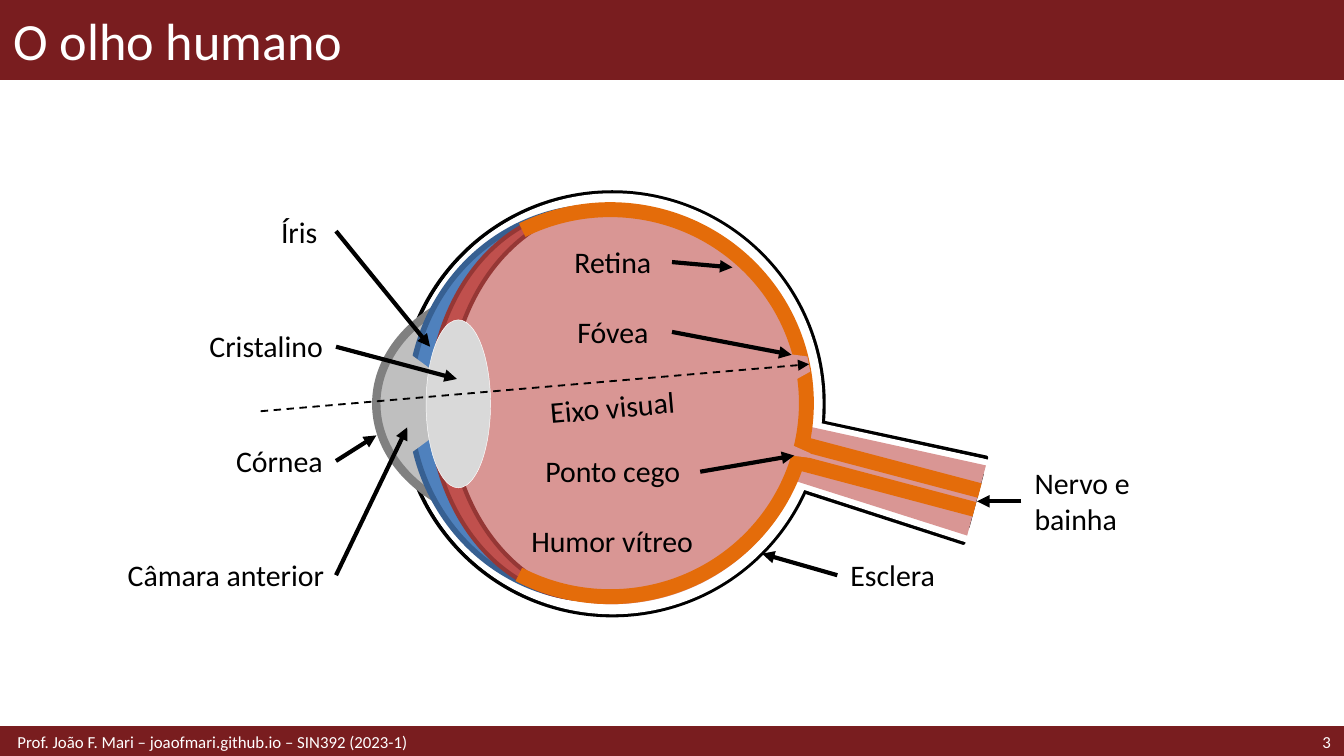
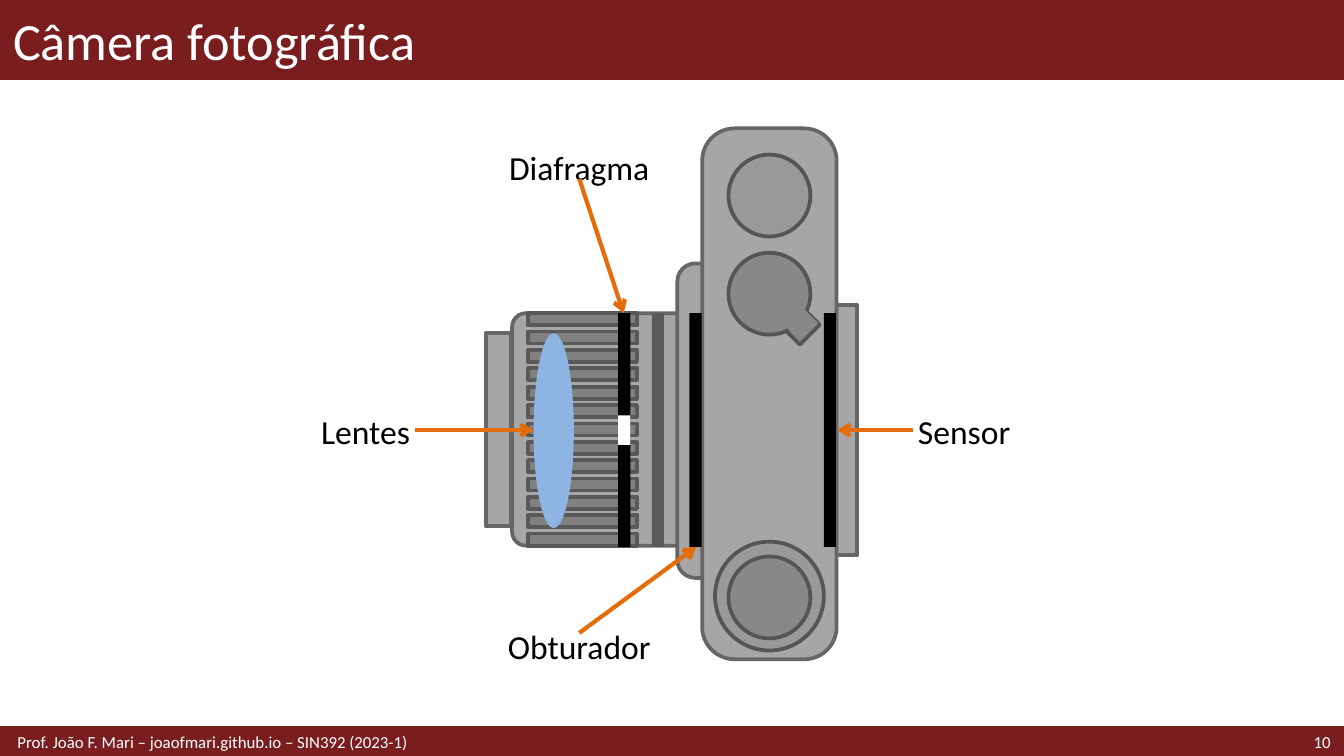
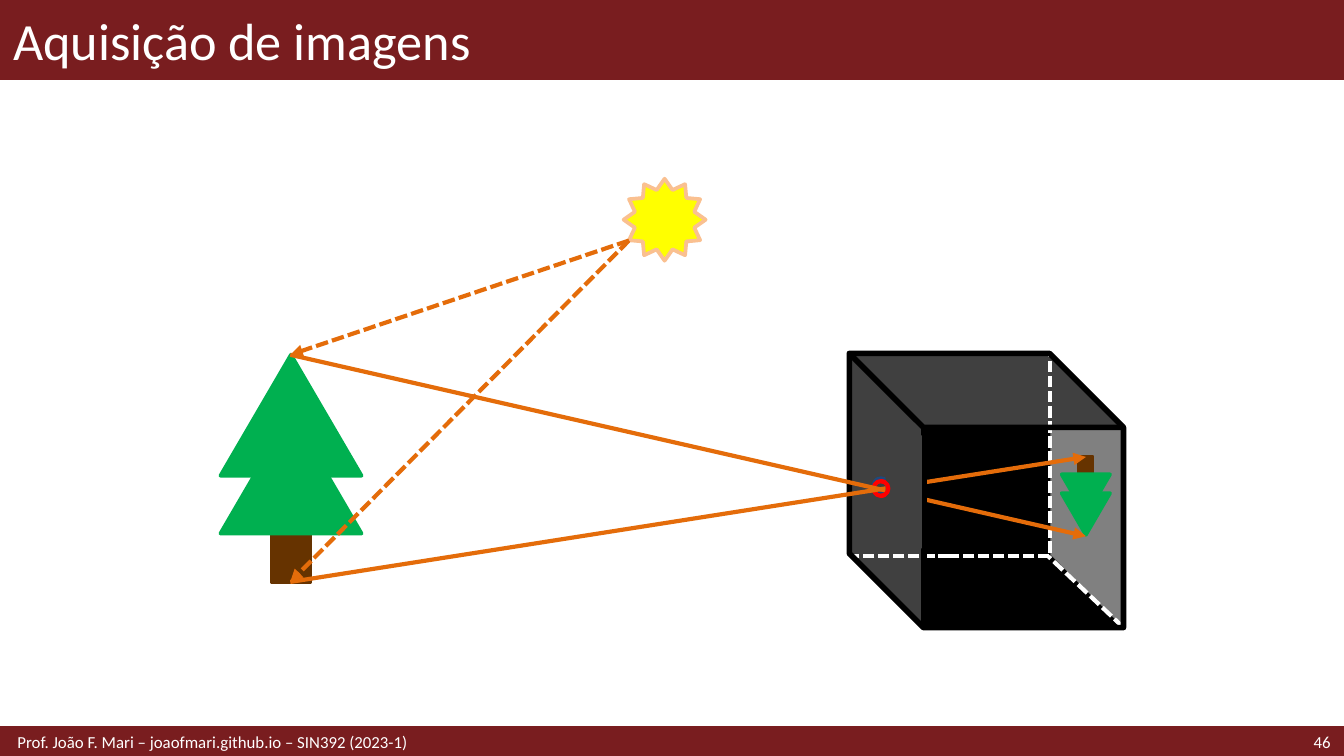
from lxml import etree
from pptx import Presentation
from pptx.dml.color import RGBColor
from pptx.enum import dml, shapes, text
from pptx.oxml import ns
from pptx.util import Pt

WHITE = RGBColor(0xFF, 0xFF, 0xFF)
BLACK = RGBColor(0x00, 0x00, 0x00)
WINE = RGBColor(0x79, 0x1D, 0x1F)
ORANGE = RGBColor(0xE4, 0x6C, 0x0A)
FLESH = RGBColor(0xD9, 0x96, 0x94)
CHAMBER = RGBColor(0xBF, 0xBF, 0xBF)
LENS_GRAY = RGBColor(0xD9, 0xD9, 0xD9)
MID_GRAY = RGBColor(0x80, 0x80, 0x80)
IRIS_BLUE = RGBColor(0x4F, 0x81, 0xBD)
IRIS_EDGE = RGBColor(0x37, 0x60, 0x92)
CILIARY_RED = RGBColor(0xC0, 0x50, 0x4D)
CILIARY_EDGE = RGBColor(0x95, 0x37, 0x35)
BODY = RGBColor(0xA6, 0xA6, 0xA6)
BODY_EDGE = RGBColor(0x66, 0x66, 0x66)
DIAL = RGBColor(0x99, 0x99, 0x99)
KNOB = RGBColor(0x88, 0x88, 0x88)
DIAL_EDGE = RGBColor(0x55, 0x55, 0x55)
GROOVE_EDGE = RGBColor(0x59, 0x59, 0x59)
GLASS = RGBColor(0x8E, 0xB4, 0xE3)
BOX_SIDE = RGBColor(0x40, 0x40, 0x40)
NAVY = RGBColor(0x1F, 0x49, 0x7D)
RED = RGBColor(0xFF, 0x00, 0x00)
LEAF = RGBColor(0x00, 0xB0, 0x50)
TRUNK = RGBColor(0x66, 0x33, 0x00)
SUN = RGBColor(0xFF, 0xFF, 0x00)
SUN_EDGE = RGBColor(0xFA, 0xC0, 0x90)

FONT = "Calibri"
KIND = shapes.MSO_SHAPE
DASH = dml.MSO_LINE.DASH
SHORT_DASH = dml.MSO_LINE.SQUARE_DOT
LEFT, CENTER, RIGHT = text.PP_ALIGN.LEFT, text.PP_ALIGN.CENTER, text.PP_ALIGN.RIGHT

presentation = Presentation()
presentation.slide_height = presentation.slide_width * 9 // 16
CELL = presentation.slide_width / 10  # ten square columns across the slide
ROWS = 10 * 9 / 16


def draw_shape(slide, kind, box, fill=None, line=None, weight=2,
               adjust=(), rotation=0, flip="", dash=None):
    """Draw a preset shape; box is left, top, width, height in grid cells."""
    shape = slide.shapes.add_shape(kind, *[round(value * CELL) for value in box])
    shape.shadow.inherit = False
    shape.rotation = rotation
    for index, value in enumerate(adjust):
        shape.adjustments[index] = value
    for axis in flip:
        shape._element.spPr.find(ns.qn("a:xfrm")).set("flip" + axis, "1")
    if fill is None:
        shape.fill.background()
    else:
        shape.fill.solid()
        shape.fill.fore_color.rgb = fill
    if line is None:
        shape.line.fill.background()
    else:
        shape.line.color.rgb = line
        shape.line.width = Pt(weight)
        if dash:
            shape.line.dash_style = dash


def draw_line(slide, ends, color, weight=2.25, tip=None, dash=None):
    """Draw a straight line; ends is x1, y1, x2, y2 in grid cells."""
    connector = slide.shapes.add_connector(
        shapes.MSO_CONNECTOR.STRAIGHT, *[round(value * CELL) for value in ends])
    connector.line.color.rgb = color
    connector.line.width = Pt(weight)
    if dash:
        connector.line.dash_style = dash
    properties = connector._element.spPr
    if tip:
        outline = properties.find(ns.qn("a:ln"))
        etree.SubElement(outline, ns.qn("a:tailEnd"), type=tip)
    etree.SubElement(properties, ns.qn("a:effectLst"))


# Shared bands, title, footer and slide number
labels = []
slides = []
for title, number in (("O olho humano", "3"), ("Câmera fotográfica", "10"),
                      ("Aquisição de imagens", "46")):
    slide = presentation.slides.add_slide(presentation.slide_layouts[6])
    slides.append(slide)
    draw_shape(slide, KIND.RECTANGLE, (0, 0, 10, 0.59), WINE, WINE, 1)
    draw_shape(slide, KIND.RECTANGLE, (0, ROWS - 0.21, 10, 0.21), WINE, WINE)
    labels += [
        (slide, title, (0, 0, 10, 0.59), 28, WHITE, LEFT, 0.1, 0),
        (slide, number, (8.86, ROWS - 0.21, 1.14, 0.21), 9, WHITE, RIGHT, 0.1, 0),
        (slide, "Prof. João F. Mari – joaofmari.github.io – SIN392 (2023-1)",
         (0, ROWS - 0.21, 6.89, 0.21), 9, WHITE, LEFT, 0.13, 0),
    ]
eye, camera, pinhole = slides

# Human eye: globe, front chamber and iris
draw_shape(eye, KIND.TRAPEZOID, (6.17, 2.74, 0.66, 1.56), WHITE, BLACK,
           adjust=[0.12], rotation=105, flip="V")
draw_shape(eye, KIND.OVAL, (2.98, 1.43, 3.15, 3.15), WHITE, BLACK)
draw_shape(eye, KIND.OVAL, (2.8, 2.1, 2.28, 1.81), CHAMBER, BLACK)
draw_shape(eye, KIND.ARC, (3.03, 1.47, 3.06, 3.07), None, WHITE, 4.5,
           [124.62, 91.48], flip="V")
for left, width in ((3.12, 2.87), (3.29, 2.53)):
    draw_shape(eye, KIND.OVAL, (left, 1.57, width, 2.87), FLESH, FLESH, 8)
draw_shape(eye, KIND.ARC, (2.8, 2.1, 2.4, 1.81), None, MID_GRAY, 4.5,
           [78.45, 137.85], flip="V")
draw_shape(eye, KIND.MOON, (3.05, 1.54, 1.4, 2.92), IRIS_BLUE, IRIS_EDGE, 3, [0.12])
draw_shape(eye, KIND.TRAPEZOID, (2.77, 2.87, 0.78, 0.27), CHAMBER,
           adjust=[0.73], rotation=270, flip="V")

# Optic nerve, retina and lens
draw_line(eye, (7.38, 4.04, 5.87, 3.55), WHITE, 8)
draw_line(eye, (7.64, 3.54, 5.99, 3.18), WHITE, 8)
draw_shape(eye, KIND.TRAPEZOID, (6.31, 2.83, 0.54, 1.42), FLESH,
           adjust=[0.12], rotation=105, flip="V")
draw_line(eye, (7.25, 3.79, 5.97, 3.45), ORANGE, 8)
draw_shape(eye, KIND.MOON, (3.2, 1.55, 1.18, 2.91), CILIARY_RED, CILIARY_EDGE, 2.25, [0.12])
draw_shape(eye, KIND.ARC, (3.08, 1.56, 2.92, 2.88), None, ORANGE, 8,
           [145.17, 70.17], flip="V")
draw_shape(eye, KIND.OVAL, (3.17, 2.38, 0.48, 1.25), LENS_GRAY, WHITE, 0.25)
draw_shape(eye, KIND.TRAPEZOID, (5.78, 2.62, 0.26, 0.22), FLESH,
           adjust=[0.33], rotation=259.1, flip="V")
draw_line(eye, (1.94, 3.06, 6.02, 2.71), BLACK, 1, "triangle", DASH)
draw_line(eye, (7.29, 3.65, 6, 3.31), ORANGE, 8)
draw_shape(eye, KIND.TRAPEZOID, (5.87, 3.25, 0.1, 0.22), FLESH,
           adjust=[0.33], rotation=285.4, flip="V")

for name, left, top, width, align, rotation in (
    ("Nervo e bainha", 7.6, 3.57, 1.34, LEFT, 0),
    ("Ponto cego", 3.91, 3.35, 1.3, CENTER, 0),
    ("Fóvea", 4.12, 2.31, 0.88, CENTER, 0),
    ("Humor vítreo", 3.77, 3.87, 1.57, CENTER, 0),
    ("Retina", 4.12, 1.79, 0.88, CENTER, 0),
    ("Eixo visual", 3.78, 2.87, 1.55, CENTER, 355),
    ("Cristalino", 1.22, 2.42, 1.28, RIGHT, 0),
    ("Córnea", 1.22, 3.27, 1.28, RIGHT, 0),
    ("Íris", 1.61, 1.57, 0.85, RIGHT, 0),
    ("Câmara anterior", 0.67, 4.12, 1.84, RIGHT, 0),
    ("Esclera", 6.23, 4.12, 1, LEFT, 0),
):
    labels.append((eye, name, (left, top, width, 0.31), 16, BLACK, align, 0.1, rotation))

# Camera: lens barrel and body
for kind, box, adjust in (
    (KIND.RECTANGLE, (2.99, 3.1, 1.44, 0.19), []),
    (KIND.ROUNDED_RECTANGLE, (3.84, 2.3, 1.73, 1.79), [0.06]),
    (KIND.RECTANGLE, (5.05, 2.8, 1.86, 0.8), []),
    (KIND.ROUNDED_RECTANGLE, (4.27, 2.73, 2.34, 0.8), []),
    (KIND.ROUNDED_RECTANGLE, (3.75, 2.43, 3.95, 1), [0.24]),
):
    draw_shape(camera, kind, box, BODY, BODY_EDGE, adjust=adjust, rotation=270)

# Dials and the lever
for kind, box, fill, line, rotation in (
    (KIND.OVAL, (5.42, 1.15, 0.61, 0.61), DIAL, DIAL_EDGE, 270),
    (KIND.RECTANGLE, (5.85, 2.32, 0.21, 0.2), KNOB, DIAL_EDGE, 315),
    (KIND.OVAL, (5.32, 4.03, 0.81, 0.81), DIAL, DIAL_EDGE, 270),
    (KIND.OVAL, (5.42, 4.14, 0.61, 0.61), KNOB, DIAL_EDGE, 270),
    (KIND.OVAL, (5.42, 1.88, 0.61, 0.61), KNOB, DIAL_EDGE, 270),
    (KIND.RECTANGLE, (5.85, 2.29, 0.19, 0.21), KNOB, None, 315),
):
    draw_shape(camera, kind, box, fill, line, rotation=rotation)

GROOVES = 13
for groove in range(GROOVES):
    top = 3.61 - groove * 1.64 / (GROOVES - 1)
    draw_shape(camera, KIND.RECTANGLE, (4.29, top, 0.09, 0.81),
               MID_GRAY, GROOVE_EDGE, rotation=270)

# Focus ring, lens, shutter, diaphragm with its opening, sensor
draw_shape(camera, KIND.RECTANGLE, (4.85, 2.33, 0.09, 1.74), GROOVE_EDGE)
draw_shape(camera, KIND.OVAL, (3.97, 2.48, 0.3, 1.45), GLASS)
for left in (5.13, 4.6, 6.13):
    draw_shape(camera, KIND.RECTANGLE, (left, 2.33, 0.09, 1.74), BLACK)
draw_shape(camera, KIND.RECTANGLE, (4.6, 3.09, 0.09, 0.22), WHITE)

for name, left, top, width, align in (
    ("Lentes", 2.3, 3.11, 0.79, RIGHT),
    ("Obturador", 3.72, 4.71, 1.18, CENTER),
    ("Diafragma", 3.72, 1.15, 1.18, CENTER),
    ("Sensor", 6.79, 3.11, 0.79, LEFT),
):
    labels.append((camera, name, (left, top, width, 0.19), 18, BLACK, align, 0.04, 0))

# Pinhole camera: box faces and the inverted tree
draw_shape(pinhole, KIND.RECTANGLE, (6.88, 3.18, 1.49, 1.5), BLACK)
draw_shape(pinhole, KIND.PARALLELOGRAM, (7.07, 3.38, 2.04, 0.55), MID_GRAY,
           adjust=[1], rotation=90)
draw_shape(pinhole, KIND.PARALLELOGRAM, (5.57, 3.38, 2.04, 0.55), BOX_SIDE,
           adjust=[1], rotation=90)
draw_shape(pinhole, KIND.PARALLELOGRAM, (6.31, 2.63, 2.04, 0.55), BOX_SIDE,
           adjust=[1], flip="H")
draw_shape(pinhole, KIND.OVAL, (6.5, 3.56, 0.11, 0.11), None, NAVY, 2.25)
draw_shape(pinhole, KIND.RECTANGLE, (8.03, 3.4, 0.1, 0.17), TRUNK, TRUNK, flip="HV")
for top in (3.67, 3.53):
    draw_shape(pinhole, KIND.ISOSCELES_TRIANGLE, (7.9, top, 0.36, 0.31), LEAF, LEAF, flip="HV")
draw_shape(pinhole, KIND.RECTANGLE, (6.32, 2.63, 1.49, 1.51), None, WHITE, dash=SHORT_DASH)
draw_line(pinhole, (8.36, 4.67, 7.8, 4.14), WHITE, dash=SHORT_DASH)

# Tree, box edges, pinhole and sun
draw_shape(pinhole, KIND.RECTANGLE, (2.02, 3.83, 0.29, 0.5), TRUNK, TRUNK)
for top in (2.64, 3.07):
    draw_shape(pinhole, KIND.ISOSCELES_TRIANGLE, (1.64, top, 1.05, 0.9), LEAF, LEAF)
draw_shape(pinhole, KIND.CUBE, (6.32, 2.63, 2.04, 2.04), None, BLACK, 3, [0.27], flip="H")
draw_shape(pinhole, KIND.OVAL, (6.5, 3.58, 0.11, 0.11), None, RED, 2.25)
draw_shape(pinhole, KIND.STAR_12_POINT, (4.64, 1.33, 0.61, 0.61), SUN, SUN_EDGE)

# Rays from the sun to the tree, then from the tree through the pinhole
treetop, root = (2.16, 2.64), (2.16, 4.33)
for target in (treetop, root):
    draw_line(pinhole, (4.68, 1.79, *target), ORANGE, tip="triangle", dash=SHORT_DASH)
for source, image in ((treetop, (8.08, 3.99)), (root, (8.08, 3.4))):
    draw_line(pinhole, (*source, *image), ORANGE, tip="triangle")
draw_shape(pinhole, KIND.RECTANGLE, (6.59, 3.24, 0.27, 0.84), BOX_SIDE)
draw_line(pinhole, (6.88, 3.19, 6.88, 4.68), BLACK, 3)
draw_shape(pinhole, KIND.ARC, (6.5, 3.58, 0.11, 0.11), None, RED, 2.25, [162.74, 52.87])

# All text
for slide, words, box, size, color, align, inset, rotation in labels:
    label = slide.shapes.add_textbox(*[round(value * CELL) for value in box])
    label.rotation = rotation
    frame = label.text_frame
    frame.word_wrap = True
    frame.vertical_anchor = text.MSO_ANCHOR.MIDDLE
    frame.margin_left = frame.margin_right = round(inset * CELL)
    frame.margin_top = frame.margin_bottom = round(0.04 * CELL)
    paragraph = frame.paragraphs[0]
    paragraph.text = words
    paragraph.alignment = align
    paragraph.font.name = FONT
    paragraph.font.size = Pt(size)
    paragraph.font.color.rgb = color

# Arrows from the labels to the parts they name
for ends in (
    (5, 2.47, 5.89, 2.64), (2.5, 2.58, 3.4, 2.82), (5, 1.95, 5.45, 1.99),
    (2.5, 3.43, 2.8, 3.24), (2.5, 4.28, 3.03, 3.18), (2.5, 1.72, 3.2, 2.58),
    (6.23, 4.28, 5.67, 4.12), (7.6, 3.73, 7.27, 3.73), (5.21, 3.51, 5.91, 3.39),
):
    draw_line(eye, ends, BLACK, tip="triangle")
for ends in ((3.09, 3.2, 3.97, 3.2), (4.31, 4.71, 5.18, 4.07),
             (4.31, 1.33, 4.64, 2.33), (6.79, 3.2, 6.23, 3.2)):
    draw_line(camera, ends, ORANGE, tip="arrow")

presentation.save("out.pptx")
